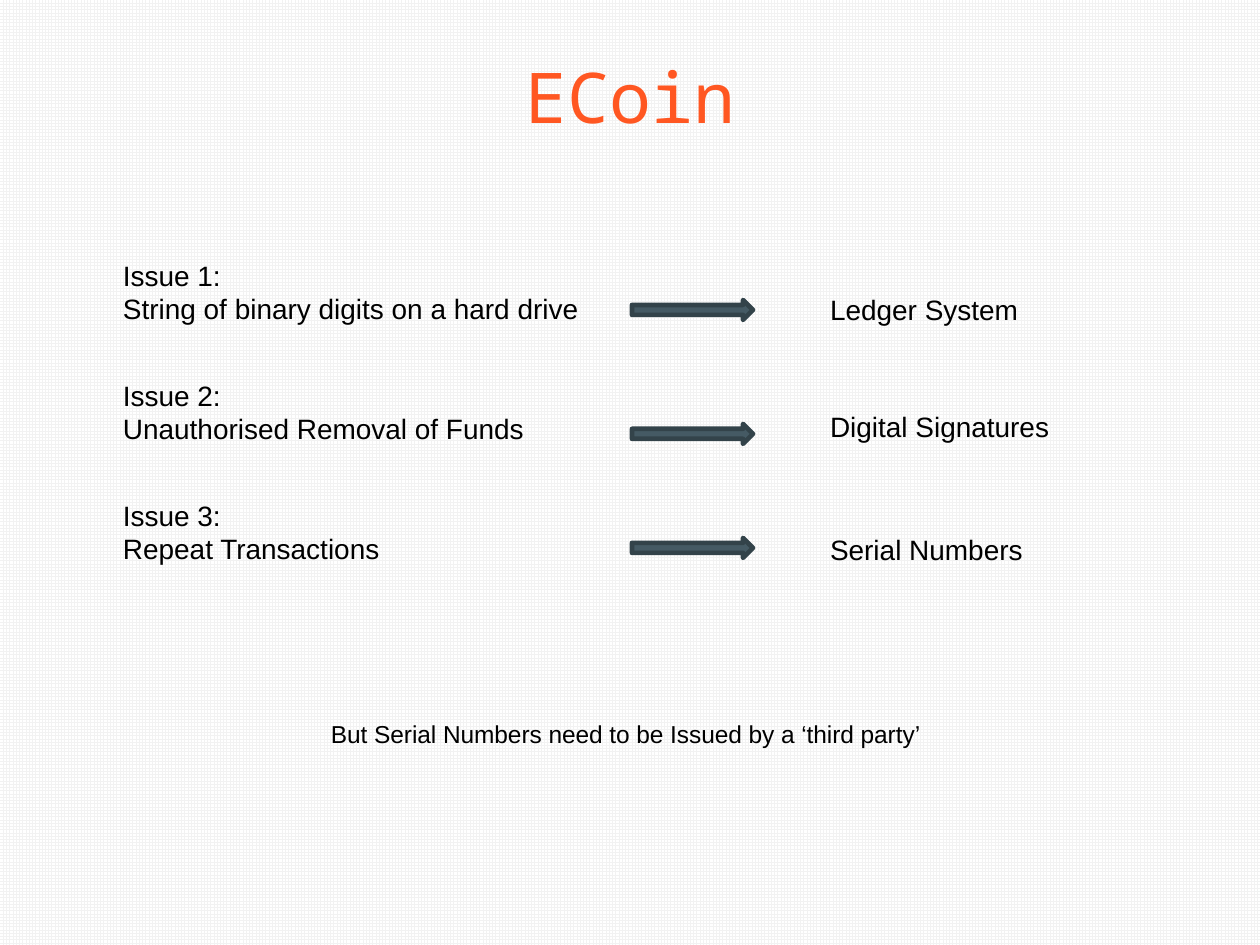
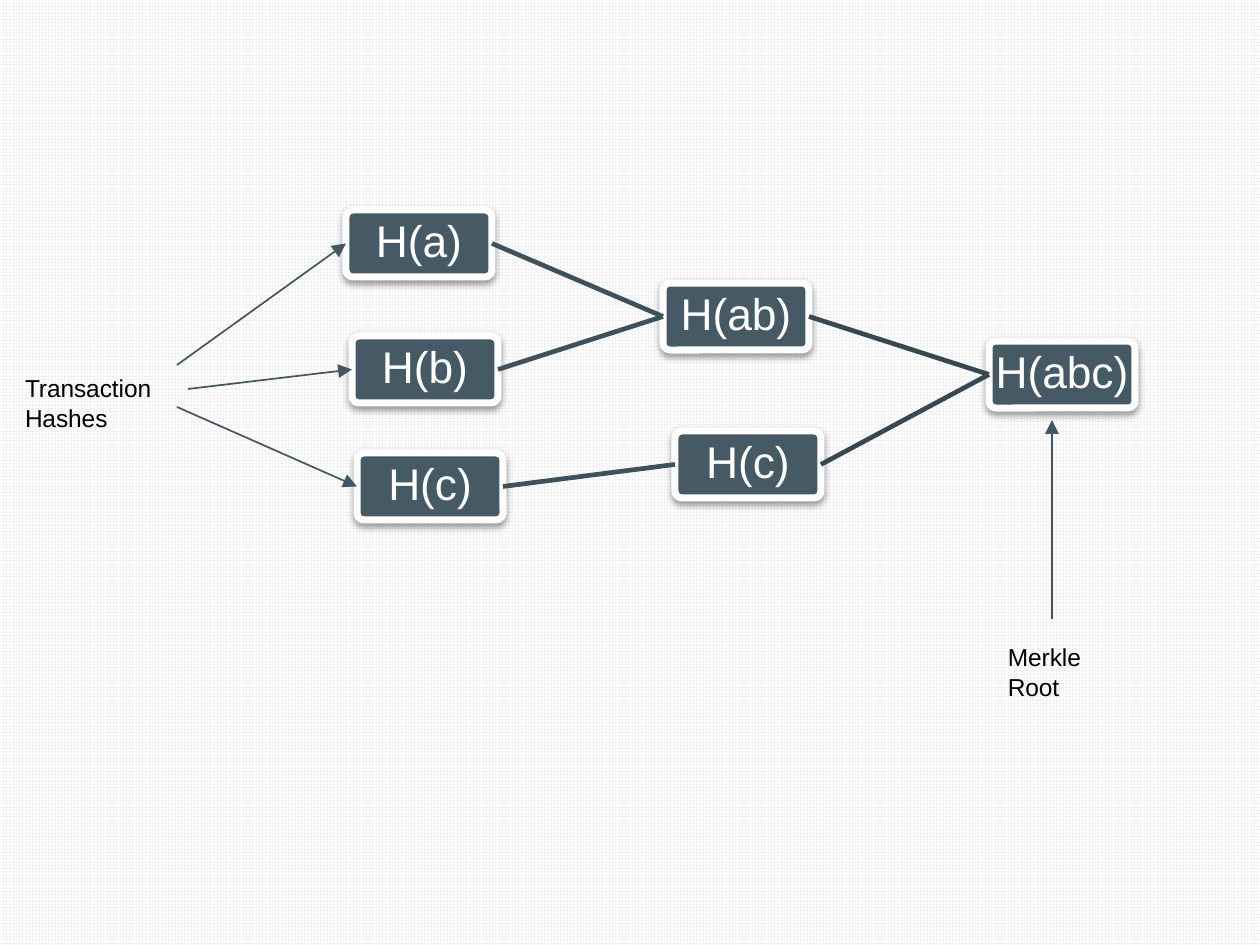
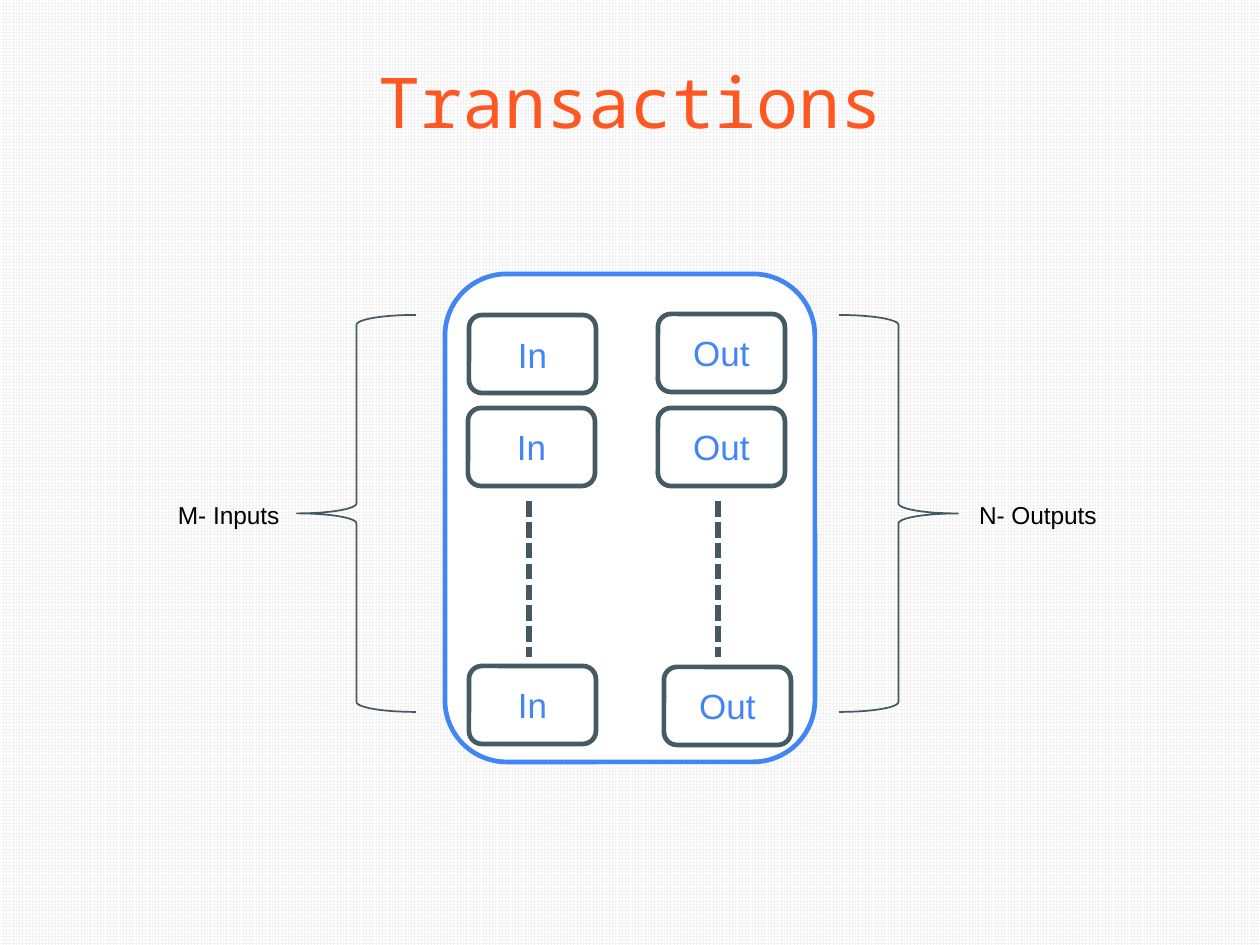
from lxml import etree
from pptx import Presentation
from pptx.dml.color import RGBColor
from pptx.enum.dml import MSO_LINE, MSO_PATTERN
from pptx.enum.shapes import MSO_CONNECTOR, MSO_SHAPE
from pptx.enum.text import MSO_ANCHOR, MSO_AUTO_SIZE, PP_ALIGN
from pptx.oxml.ns import qn
from pptx.util import Pt

PX = 914400 / 168
COLORS = {
    "grid": "F2F2F2", "white": "FFFFFF", "black": "000000",
    "title": "FF5722", "slate": "455A64", "arrow_edge": "33434A",
    "line": "435863", "level1": "3F525B", "level2": "374850",
    "blue": "4285F4",
}
BODY_FONT, TITLE_FONT = "Arial", "Noto Sans Mono"
TITLE_ONLY, BLANK = 5, 6
CENTER, LEFT = PP_ALIGN.CENTER, PP_ALIGN.LEFT
TOP, MIDDLE = MSO_ANCHOR.TOP, MSO_ANCHOR.MIDDLE
ROUNDED, ARROW = MSO_SHAPE.ROUNDED_RECTANGLE, MSO_SHAPE.RIGHT_ARROW
LEFT_BRACE, RIGHT_BRACE = MSO_SHAPE.LEFT_BRACE, MSO_SHAPE.RIGHT_BRACE
STRAIGHT, DOTTED = MSO_CONNECTOR.STRAIGHT, MSO_LINE.SQUARE_DOT
LEFT_SIDE, RIGHT_SIDE = 1, 3


def px(n):
    return round(n * PX)


def rgb(name):
    return RGBColor.from_string(COLORS[name])


# Shared parts
def set_text(tf, lines, size, color, align=LEFT, font=BODY_FONT):
    for i, line in enumerate(lines):
        p = tf.add_paragraph() if i else tf.paragraphs[0]
        p.text = line
        p.alignment = align
        p.font.size = Pt(size)
        p.font.name = font
        p.font.color.rgb = rgb(color)


def set_margins(tf, margin):
    tf.margin_left = tf.margin_right = px(margin)
    tf.margin_top = tf.margin_bottom = px(margin)


def add_title(s, text, y):
    sp = s.shapes.title
    sp.left, sp.top, sp.width, sp.height = px(44), px(y), px(1174), px(79)
    tf = sp.text_frame
    tf.auto_size = MSO_AUTO_SIZE.NONE
    tf.vertical_anchor = TOP
    set_margins(tf, 17)
    set_text(tf, [text], 30, "title", CENTER, TITLE_FONT)


def add_label(s, x, y, w, h, lines, size=10.5, indent=17):
    tf = s.shapes.add_textbox(px(x), px(y), px(w), px(h)).text_frame
    tf.word_wrap = True
    tf.margin_left = px(indent)
    set_text(tf, lines, size, "black")


def add_box(s, kind, x, y, w, h, fill, line, width):
    sp = s.shapes.add_shape(kind, px(x), px(y), px(w), px(h))
    sp.shadow.inherit = False
    if fill:
        sp.fill.solid()
        sp.fill.fore_color.rgb = rgb(fill)
    else:
        sp.fill.background()
    sp.line.color.rgb = rgb(line)
    sp.line.width = Pt(width)
    return sp


def add_line(s, start, end, color="line", width=0.75, arrow=False):
    """Each end is an (x, y) point or a shape, joined at its facing side."""
    cx = s.shapes.add_connector(STRAIGHT, 0, 0, 0, 0)
    if isinstance(start, tuple):
        cx.begin_x, cx.begin_y = map(px, start)
    else:
        cx.begin_connect(start, RIGHT_SIDE)
    if isinstance(end, tuple):
        cx.end_x, cx.end_y = map(px, end)
    else:
        cx.end_connect(end, LEFT_SIDE)
    cx.line.color.rgb = rgb(color)
    cx.line.width = Pt(width)
    if arrow:
        etree.SubElement(cx.line._get_or_add_ln(), qn("a:tailEnd"), type="triangle")
    etree.SubElement(cx._element.spPr, qn("a:effectLst"))
    return cx


# Issues and their answers
def add_issue(s, x, y, lines, answer, answer_dy, arrow_dy):
    add_label(s, x, y, 506, 84, lines, 12, 32)
    add_box(s, ARROW, x + 541, y + arrow_dy, 121, 20, "slate", "arrow_edge", 2)
    add_label(s, x + 707, y + answer_dy, 269, 50, [answer], 12, 32)


def build_issues(prs):
    s = prs.slides.add_slide(prs.slide_layouts[TITLE_ONLY])
    add_title(s, "ECoin", 37)
    rows = [
        ("String of binary digits on a hard drive", "Ledger System", 34, 50),
        ("Unauthorised Removal of Funds", "Digital Signatures", 31, 54),
        ("Repeat Transactions", "Serial Numbers", 34, 48),
    ]
    for i, (issue, answer, answer_dy, arrow_dy) in enumerate(rows):
        add_issue(s, 91, 250 + 120 * i, [f"Issue {i + 1}:", issue],
                  answer, answer_dy, arrow_dy)
    add_label(s, 314, 711, 632, 47,
              ["But Serial Numbers need to be Issued by a ‘third party’"])


# Hash tree
def add_soft_shadow(sp):
    effects = sp._element.spPr.find(qn("a:effectLst"))
    shadow = etree.SubElement(effects, qn("a:outerShdw"), blurRad="39370",
                              dist="20320", dir="5400000", rotWithShape="0")
    color = etree.SubElement(shadow, qn("a:srgbClr"), val=COLORS["black"])
    etree.SubElement(color, qn("a:alpha"), val="38000")


def add_node(s, x, y, text):
    sp = add_box(s, ROUNDED, x, y, 146, 67, "slate", "white", 3)
    sp.adjustments[0] = 0.1
    add_soft_shadow(sp)
    tf = sp.text_frame
    tf.word_wrap = False
    tf.vertical_anchor = MIDDLE
    set_margins(tf, 2)
    set_text(tf, [text], 19, "white", CENTER)
    tf.paragraphs[0].line_spacing = 0.9
    return sp


def build_hash_tree(prs):
    s = prs.slides.add_slide(prs.slide_layouts[BLANK])
    a = add_node(s, 346, 210, "H(a)")
    b = add_node(s, 352, 336, "H(b)")
    c = add_node(s, 357, 453, "H(c)")
    ab = add_node(s, 663, 283, "H(ab)")
    c_up = add_node(s, 675, 431, "H(c)")
    root = add_node(s, 989, 341, "H(abc)")

    # Branches
    for child, parent, color in [(a, ab, "level1"), (b, ab, "level1"),
                                 (c, c_up, "level1"), (ab, root, "level2"),
                                 (c_up, root, "level2")]:
        add_line(s, child, parent, color, 2)

    # Labels and their arrows
    add_label(s, 8, 365, 180, 76, ["Transaction Hashes"])
    for start, leaf in [((177, 365), a), ((188, 389), b), ((177, 407), c)]:
        add_line(s, start, leaf, arrow=True)
    add_label(s, 991, 634, 161, 76, ["Merkle Root"])
    add_line(s, (1052, 619), (1052, 420), arrow=True)


# Transaction with inputs and outputs
def add_slots(s, x, y, text, spots):
    for dx, dy in spots:
        sp = add_box(s, ROUNDED, x + dx, y + dy, 127, 78, "white", "slate", 2)
        sp.text_frame.vertical_anchor = MIDDLE
        set_text(sp.text_frame, [text], 15, "blue", CENTER)
    dots = add_line(s, (x + 60, y + 186), (x + 60, y + 342), width=2.25)
    dots.line.dash_style = DOTTED


def add_transaction(s, x, y):
    add_box(s, ROUNDED, x, y, 370, 488, "white", "blue", 2)
    add_slots(s, x + 24, y + 41, "In", [(0, 0), (-1, 93), (0, 351)])
    add_slots(s, x + 213, y + 41, "Out", [(0, -1), (0, 93), (6, 352)])
    for kind, dx in [(LEFT_BRACE, -148), (RIGHT_BRACE, 394)]:
        add_box(s, kind, x + dx, y + 41, 119, 397, None, "line", 0.75)
    for text, dx, w in [("M- Inputs", -284, 146), ("N- Outputs", 517, 165)]:
        add_label(s, x + dx, y + 218, w, 47, [text])


def build_transactions(prs):
    s = prs.slides.add_slide(prs.slide_layouts[TITLE_ONLY])
    add_title(s, "Transactions", 42)
    add_transaction(s, 445, 274)


def main():
    prs = Presentation()
    prs.slide_width, prs.slide_height = px(1260), px(945)
    fill = prs.slide_master.background.fill
    fill.patterned()
    fill.pattern = MSO_PATTERN.SMALL_GRID
    fill.fore_color.rgb, fill.back_color.rgb = rgb("grid"), rgb("white")
    build_issues(prs)
    build_hash_tree(prs)
    build_transactions(prs)
    prs.save("out.pptx")


if __name__ == "__main__":
    main()
